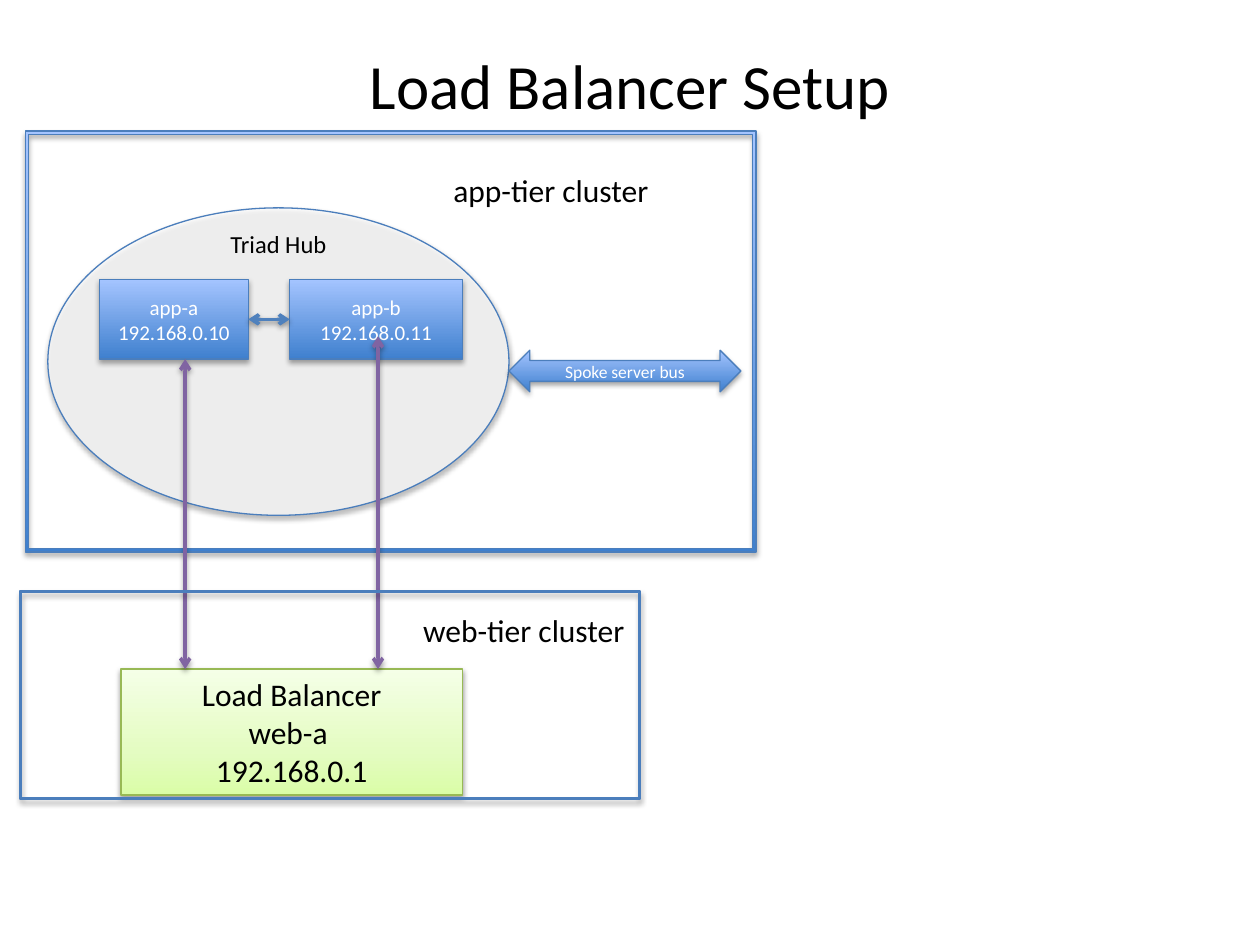
import copy

import lxml.etree
import pptx
import pptx.dml.color
import pptx.enum.shapes
import pptx.enum.text
import pptx.oxml.ns
import pptx.util

Inches = pptx.util.Inches
SHAPES = pptx.enum.shapes.MSO_SHAPE
ALIGN = pptx.enum.text.PP_ALIGN
MIDDLE = pptx.enum.text.MSO_ANCHOR.MIDDLE
qn = pptx.oxml.ns.qn

BLUE_STOPS = [(0, "3F80CE"), (1, "A4C4FF")]
GREEN_STOPS = [(0, "DAFDA7"), (0.35, "E4FCC2"), (1, "F5FFE7")]
BLUE_EDGE, GREEN_EDGE = "4B7EBC", "98B955"
BLUE_LINK, PURPLE_LINK = "4F81BD", "8064A2"


def rgb(value):
    """Return the colour for a hex string."""
    return pptx.dml.color.RGBColor.from_string(value)


def apply_format(target, values):
    """Set each named attribute on the target."""
    for name, value in values.items():
        setattr(target, name, value)


def add_shadow(element, opacity=35, distance=1.8):
    """Give an element a soft shadow that falls straight down."""
    properties = element._element.spPr
    for old in properties.findall(qn("a:effectLst")):
        properties.remove(old)
    effects = lxml.etree.SubElement(properties, qn("a:effectLst"))
    shadow = lxml.etree.SubElement(
        effects, qn("a:outerShdw"), blurRad=str(pptx.util.Pt(3.1)),
        dist=str(pptx.util.Pt(distance)), dir="5400000", rotWithShape="0")
    black = lxml.etree.SubElement(shadow, qn("a:srgbClr"), val="000000")
    lxml.etree.SubElement(black, qn("a:alpha"), val=str(opacity * 1000))


def write_lines(frame, lines, size, color="000000", align=ALIGN.CENTER):
    """Write one paragraph per line in a single style."""
    frame.text = "\n".join(lines)
    for paragraph in frame.paragraphs:
        paragraph.alignment = align
        apply_format(paragraph.font, {"size": pptx.util.Pt(size), "name": "Calibri"})
        paragraph.font.color.rgb = rgb(color)


def fill_gradient(shape, stops):
    """Fill a shape with colour stops running from bottom to top."""
    shape.fill.gradient()
    shape.fill.gradient_angle = 90
    stop_list = shape._element.spPr.find(".//" + qn("a:gsLst"))
    for _ in stops[2:]:
        stop_list.insert(1, copy.deepcopy(stop_list[0]))
    for stop, (position, color) in zip(shape.fill.gradient_stops, stops):
        stop.position = position
        stop.color.rgb = rgb(color)


def add_block(slide, kind, box, stops=BLUE_STOPS, edge=BLUE_EDGE):
    """Add an outlined, shadowed shape with a gradient fill."""
    block = slide.shapes.add_shape(kind, *map(Inches, box))
    fill_gradient(block, stops)
    block.line.color.rgb = rgb(edge)
    block.line.width = pptx.util.Pt(0.75)
    add_shadow(block)
    block.text_frame.vertical_anchor = MIDDLE
    return block


def add_hub(slide, box):
    """Add the translucent white ellipse of the hub."""
    hub = add_block(slide, SHAPES.OVAL, box)
    hub.fill.solid()
    hub.fill.fore_color.rgb = rgb("FFFFFF")
    white = hub._element.spPr.find(qn("a:solidFill"))[0]
    lxml.etree.SubElement(white, qn("a:alpha"), val="73000")


def add_cluster(slide, box):
    """Add the thin frame around a cluster."""
    add_block(slide, SHAPES.FRAME, box).adjustments[0] = 0.008


def add_label(slide, box, text, size, align=ALIGN.LEFT):
    """Add a free-standing label on one line."""
    label = slide.shapes.add_textbox(*map(Inches, box))
    label.text_frame.word_wrap = False
    write_lines(label.text_frame, [text], size, align=align)


def add_link(slide, start, end, color):
    """Add a straight two-headed arrow."""
    link = slide.shapes.add_connector(
        pptx.enum.shapes.MSO_CONNECTOR.STRAIGHT, *map(Inches, start + end))
    link.line.color.rgb = rgb(color)
    link.line.width = pptx.util.Pt(2)
    for tip in ("a:headEnd", "a:tailEnd"):
        lxml.etree.SubElement(link.line._get_or_add_ln(), qn(tip), type="arrow")
    add_shadow(link, 38, 1.6)
    return link


def add_title(slide, text):
    """Place and format the slide title."""
    title = slide.shapes.title
    apply_format(title, {"left": Inches(0.5), "top": Inches(0.3),
                         "width": Inches(9), "height": Inches(0.74)})
    title.text_frame.vertical_anchor = MIDDLE
    write_lines(title.text_frame, [text], 36)


def main():
    """Build the load balancer slide."""
    deck = pptx.Presentation()
    apply_format(deck, {"slide_width": Inches(10), "slide_height": Inches(7.5)})
    slide = deck.slides.add_slide(deck.slide_layouts[5])
    add_title(slide, "Load Balancer Setup")

    add_hub(slide, (0.38, 1.65, 3.66, 2.44))
    add_label(slide, (1.6, 1.77, 1.22, 0.34), "Triad Hub", 14, ALIGN.CENTER)

    servers = []
    for name, address, left, width in (("app-a", "192.168.0.10", 0.79, 1.18),
                                       ("app-b", "192.168.0.11", 2.3, 1.37)):
        server = add_block(slide, SHAPES.RECTANGLE, (left, 2.22, width, 0.63))
        write_lines(server.text_frame, [name, address], 12, "FFFFFF")
        servers.append(server)
    server_link = add_link(slide, (1.97, 2.54), (2.3, 2.54), BLUE_LINK)
    server_link.begin_connect(servers[0], 3)
    server_link.end_connect(servers[1], 1)

    bus = add_block(slide, SHAPES.LEFT_RIGHT_ARROW, (4.04, 2.78, 1.84, 0.33))
    write_lines(bus.text_frame, ["Spoke server bus"], 10, "FFFFFF")
    add_cluster(slide, (0.2, 1.04, 5.8, 3.34))

    balancer = add_block(slide, SHAPES.RECTANGLE, (0.96, 5.31, 2.71, 1),
                         GREEN_STOPS, GREEN_EDGE)
    add_shadow(balancer, 38, 1.6)
    write_lines(balancer.text_frame, ["Load Balancer", "web-a ", "192.168.0.1"], 18)
    for x, server_y in ((1.47, 2.85), (3, 2.67)):
        add_link(slide, (x, 5.31), (x, server_y), PURPLE_LINK)

    add_label(slide, (3.5, 1.31, 1.77, 0.4), "app-tier cluster", 18)
    add_cluster(slide, (0.16, 4.69, 4.92, 1.65))
    add_label(slide, (3.26, 4.8, 1.82, 0.4), "web-tier cluster", 18)
    deck.save("out.pptx")


if __name__ == "__main__":
    main()
